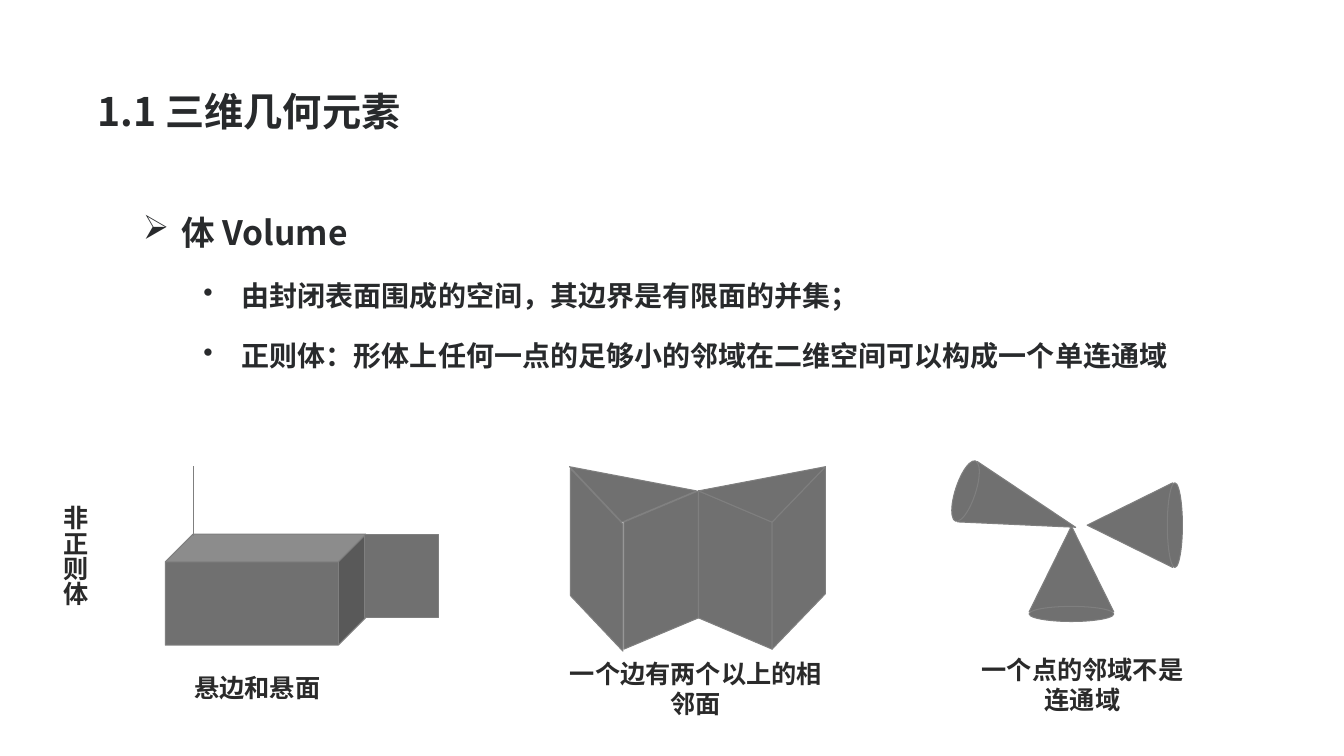
import math

from lxml import etree
from pptx import Presentation
from pptx import util as u
from pptx.dml.color import RGBColor
from pptx.enum import shapes, text
from pptx.oxml import ns

HEADING = RGBColor(0x28, 0x2A, 0x2C)
CAPTION = RGBColor(0x2A, 0x2A, 0x2A)
SOLID = RGBColor(0x70, 0x70, 0x70)
EDGE = RGBColor(0x7F, 0x7F, 0x7F)
HEADING_FONT = "Noto Sans CJK SC"
CAPTION_FONT = "DejaVu Sans"

COLUMNS, ROWS = 160, 90
CELL = u.Inches(1) // 12


def cells(*counts):
    return [round(count * CELL) for count in counts]


class GeometrySlide:
    """Draws on one slide; all lengths are cells of a 160 by 90 grid."""

    def __init__(self, presentation):
        self.slide = presentation.slides.add_slide(presentation.slide_layouts[6])
        self.shapes = self.slide.shapes

    def text_box(self, left, top, width, height, inset=None):
        frame = self.shapes.add_textbox(*cells(left, top, width, height)).text_frame
        frame.word_wrap = True
        if inset is not None:
            frame.margin_left = frame.margin_right = u.Inches(inset)
            frame.margin_top = frame.margin_bottom = u.Inches(inset)
        return frame

    def set_words(self, paragraph, words, size, font, color):
        paragraph.text = words
        for run in paragraph.runs:
            run.font.size = u.Pt(size)
            run.font.bold = True
            run.font.name = font
            run.font.color.rgb = color
            east_asian = etree.SubElement(run.font._element, ns.qn("a:ea"))
            east_asian.set("typeface", font)

    def title(self, words, *box):
        frame = self.text_box(*box, inset=0.05)
        frame.vertical_anchor = text.MSO_ANCHOR.MIDDLE
        paragraph = frame.paragraphs[0]
        paragraph.line_spacing = 0.9
        self.set_words(paragraph, words, 28, HEADING_FONT, HEADING)

    def outline(self, items, *box):
        """Add bulleted items given as (level, bullet, indent in inches, size, words)."""
        frame = self.text_box(*box, inset=0.1)
        for index, (level, bullet, indent, size, words) in enumerate(items):
            paragraph = frame.add_paragraph() if index else frame.paragraphs[0]
            properties = paragraph._p.get_or_add_pPr()
            properties.set("marL", str(u.Inches(indent)))
            properties.set("indent", str(u.Inches(-0.38)))
            etree.SubElement(properties, ns.qn("a:buChar")).set("char", bullet)
            paragraph.level = level
            paragraph.line_spacing = 1.0
            if index:
                paragraph.space_before = u.Pt(19)
            self.set_words(paragraph, words, size, HEADING_FONT, HEADING)

    def caption(self, words, *box, align=text.PP_ALIGN.CENTER, vertical=False):
        frame = self.text_box(*box)
        frame.auto_size = text.MSO_AUTO_SIZE.SHAPE_TO_FIT_TEXT
        if vertical:
            frame._txBody.bodyPr.set("vert", "eaVert")
        paragraph = frame.paragraphs[0]
        paragraph.alignment = align
        self.set_words(paragraph, words, 18, CAPTION_FONT, CAPTION)

    def paint(self, shape):
        shape.shadow.inherit = False
        shape.fill.solid()
        shape.fill.fore_color.rgb = SOLID
        shape.line.color.rgb = EDGE
        shape.line.width = u.Pt(0.75)

    def solid(self, kind, left, top, width, height, rotation=0):
        shape = self.shapes.add_shape(kind, *cells(left, top, width, height))
        shape.rotation = rotation
        self.paint(shape)
        return shape

    def edge(self, *ends):
        line = self.shapes.add_connector(shapes.MSO_CONNECTOR.STRAIGHT, *cells(*ends))
        line.line.color.rgb = EDGE
        line.line.width = u.Pt(0.75)
        etree.SubElement(line._element.spPr, ns.qn("a:effectLst"))

    def face(self, *points):
        start, *others = [cells(*point) for point in points]
        builder = self.shapes.build_freeform(*start)
        builder.add_line_segments(others, close=True)
        self.paint(builder.convert_to_shape())

    def wall(self, first, second, height):
        """Draw the upright face hanging below the edge from first to second."""
        (x1, y1), (x2, y2) = first, second
        self.face(first, second, (x2, y2 + height), (x1, y1 + height))

    def cone(self, x, y, width, height, base, rotation=0):
        """Draw a triangle centred on x, y with an ellipse over its base."""
        angle = math.radians(rotation)
        reach = height / 2 + 0.25
        base_x = x - reach * math.sin(angle)
        base_y = y + reach * math.cos(angle)
        self.solid(shapes.MSO_SHAPE.ISOSCELES_TRIANGLE,
                   x - width / 2, y - height / 2, width, height, rotation)
        self.solid(shapes.MSO_SHAPE.OVAL,
                   base_x - width / 2, base_y - base / 2, width, base, rotation)


def main():
    presentation = Presentation()
    presentation.slide_width, presentation.slide_height = cells(COLUMNS, ROWS)
    page = GeometrySlide(presentation)

    page.title("1.1 三维几何元素", 11.04, 4.8, 138, 17.4)
    page.outline([
        (0, "➢", 0.78, 24, "体 Volume"),
        (2, "•", 1.38, 20, "由封闭表面围成的空间，其边界是有限面的并集；"),
        (2, "•", 1.38, 20,
         "正则体：形体上任何一点的足够小的邻域在二维空间可以构成一个单连通域"),
    ], 11.04, 24, 138, 57.12)

    # Block with a dangling edge and a dangling face
    block = page.solid(shapes.MSO_SHAPE.CUBE, 19.68, 63.6, 23.88, 13.2)
    block.adjustments[0] = 0.25
    page.solid(shapes.MSO_SHAPE.RECTANGLE, 43.44, 63.6, 8.76, 9.96)
    page.edge(23.04, 63.84, 23.04, 55.44)
    page.caption("悬边和悬面", 21.96, 79.44, 32.76, 4.8, align=text.PP_ALIGN.LEFT)

    # Two prisms sharing one edge
    shared, right_front, right_back = (83.16, 58.44), (91.92, 62.16), (98.28, 55.56)
    for first, second in [
        ((74.28, 62.16), shared),
        (right_front, shared),
        (right_front, right_back),
        ((74.16, 62.4), (67.92, 55.8)),
    ]:
        page.wall(first, second, 15.12)
    page.face((67.8, 55.56), (82.92, 58.44), (74.04, 62.16))
    page.face(shared, right_back, right_front)
    page.caption("一个边有两个以上的相邻面", 65.88, 77.76, 33.96, 8.4)

    # Three cones meeting at one point
    page.cone(127.56, 67.74, 10.08, 10.2, 1.8)
    page.cone(134.52, 62.52, 10.08, 10.2, 1.8, rotation=270)
    page.cone(121.62, 60.66, 7.56, 13.56, 2.4, rotation=108.2)
    page.caption("一个点的邻域不是连通域", 115.44, 77.28, 26.88, 8.4)

    page.caption("非正则体", 5.4, 59.04, 6, 15.12,
                 align=text.PP_ALIGN.LEFT, vertical=True)
    presentation.save("out.pptx")


if __name__ == "__main__":
    main()
